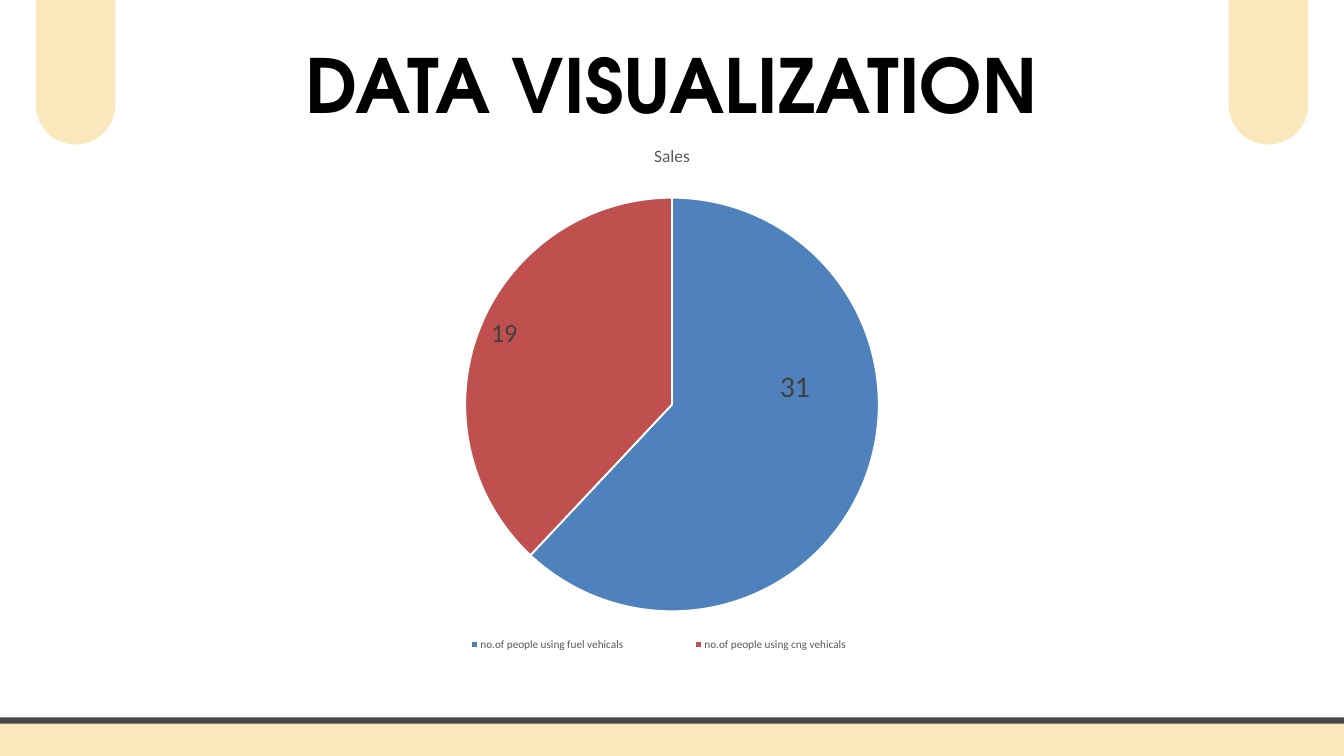
from dataclasses import dataclass

from lxml import etree
from pptx import Presentation
from pptx import util as u
from pptx.chart.data import CategoryChartData
from pptx.dml.color import RGBColor
from pptx.enum import chart as ch, shapes, text
from pptx.oxml import parse_xml
from pptx.oxml.ns import nsdecls, qn

CREAM, SLATE, GREY = "FAE7BC", "494848", "595959"


@dataclass
class Band:
    left: float
    top: float
    width: float
    height: float
    rounding: float
    line_width: float = 0


@dataclass
class Slice:
    category: str
    value: int
    color: str
    label_size: float
    shift_x: float
    shift_y: float


BANDS = [
    Band(1316.5, -77.8, 85, 232.6, 0.5),
    Band(-41.8, 772, 1523.5, 64.8, 0.1, 6.75),
    Band(38.5, -77.8, 85, 232.6, 0.5),
]
# Label shifts are fractions of the chart's size
SLICES = [
    Slice("no.of people using fuel vehicals", 31, "4F81BD", 32, 0.03, -0.1),
    Slice("no.of people using cng vehicals", 19, "C0504D", 28, -0.08, -0.06),
]


def rgb(color: str) -> RGBColor:
    return RGBColor.from_string(color)


def style(font, size: float, color: str, name: str = "Calibri", bold: bool = False) -> None:
    font.size, font.name, font.bold = u.Pt(size), name, bold
    font.color.rgb = rgb(color)


def layout_xml(**settings) -> etree._Element:
    """Manual chart layout; settings follow the schema's order."""
    items = "".join(f'<c:{key} val="{value}"/>' for key, value in settings.items())
    return parse_xml(f'<c:layout {nsdecls("c")}><c:manualLayout>{items}</c:manualLayout></c:layout>')


def draw_band(page, band: Band) -> None:
    shape = page.shapes.add_shape(
        shapes.MSO_SHAPE.ROUNDED_RECTANGLE,
        *map(u.Pt, (band.left, band.top, band.width, band.height)))
    shape.adjustments[0] = band.rounding
    shape.shadow.inherit = False
    shape.fill.solid()
    shape.fill.fore_color.rgb = rgb(CREAM)
    if band.line_width:
        shape.line.width = u.Pt(band.line_width)
        shape.line.color.rgb = rgb(SLATE)
    else:
        shape.line.fill.background()


def set_title(page, words: str) -> None:
    box = page.shapes.title
    box.left, box.top, box.width, box.height = map(u.Pt, (321, 26, 798, 109))
    frame = box.text_frame
    frame.text = words
    frame.margin_left = frame.margin_right = frame.margin_top = frame.margin_bottom = 0
    frame.vertical_anchor = text.MSO_ANCHOR.TOP
    para = frame.paragraphs[0]
    para.alignment = text.PP_ALIGN.CENTER
    para.line_spacing = u.Pt(112)
    style(para.runs[0].font, 80, "000000", "TeX Gyre Adventor", True)


def draw_pie(page, name: str, slices: list[Slice]) -> None:
    data = CategoryChartData()
    data.categories = [part.category for part in slices]
    data.add_series(name, [part.value for part in slices])
    chart = page.shapes.add_chart(
        ch.XL_CHART_TYPE.PIE, *map(u.Pt, (240, 135, 960, 591)), data).chart
    style(chart.font, 10, "000000")

    # Title and legend
    chart.has_title = True
    chart.chart_title.text_frame.text = name
    style(chart.chart_title.text_frame.paragraphs[0].runs[0].font, 18.6, GREY)
    chart.chart_title.include_in_layout = False
    chart.has_legend = True
    chart.legend.position = ch.XL_LEGEND_POSITION.BOTTOM
    chart.legend.include_in_layout = False
    style(chart.legend.font, 12, GREY)
    legend = chart.legend._element
    for old in legend.findall(qn("c:layout")):
        legend.remove(old)
    legend.find(qn("c:legendPos")).addnext(
        layout_xml(xMode="edge", yMode="edge", x=0.2, y=0.91, w=0.57, h=0.06))

    # Plot area
    plot = chart.plots[0]
    plot.vary_by_categories = True
    area = chart._chartSpace.chart.plotArea
    for old in area.findall(qn("c:layout")):
        area.remove(old)
    area.insert(0, layout_xml(layoutTarget="inner", xMode="edge", yMode="edge",
                              x=0.07, y=0.13, w=0.86, h=0.75))

    # Slices and their values
    series = plot.series[0]
    for index, part in enumerate(slices):
        point = series.points[index]
        point.format.fill.solid()
        point.format.fill.fore_color.rgb = rgb(part.color)
        point.format.line.color.rgb = rgb("FFFFFF")
        point.format.line.width = u.Pt(2)
        label = point.data_label
        style(label.font, part.label_size, "404040")
        label.position = ch.XL_LABEL_POSITION.CENTER
    labels = series.data_labels
    labels.show_value = True
    style(labels.font, 12, "404040")
    for node, part in zip(series._element.iter(qn("c:dLbl")), slices):
        node.find(qn("c:idx")).addnext(layout_xml(x=part.shift_x, y=part.shift_y))
    for leader in series._element.iter(qn("c:showLeaderLines")):
        leader.set("val", "0")


def main() -> None:
    deck = Presentation()
    deck.slide_width, deck.slide_height = u.Pt(1440), u.Pt(810)
    page = deck.slides.add_slide(deck.slide_layouts[5])
    for band in BANDS:
        draw_band(page, band)
    set_title(page, "DATA VISUALIZATION")
    draw_pie(page, "Sales", SLICES)
    deck.save("out.pptx")


if __name__ == "__main__":
    main()
